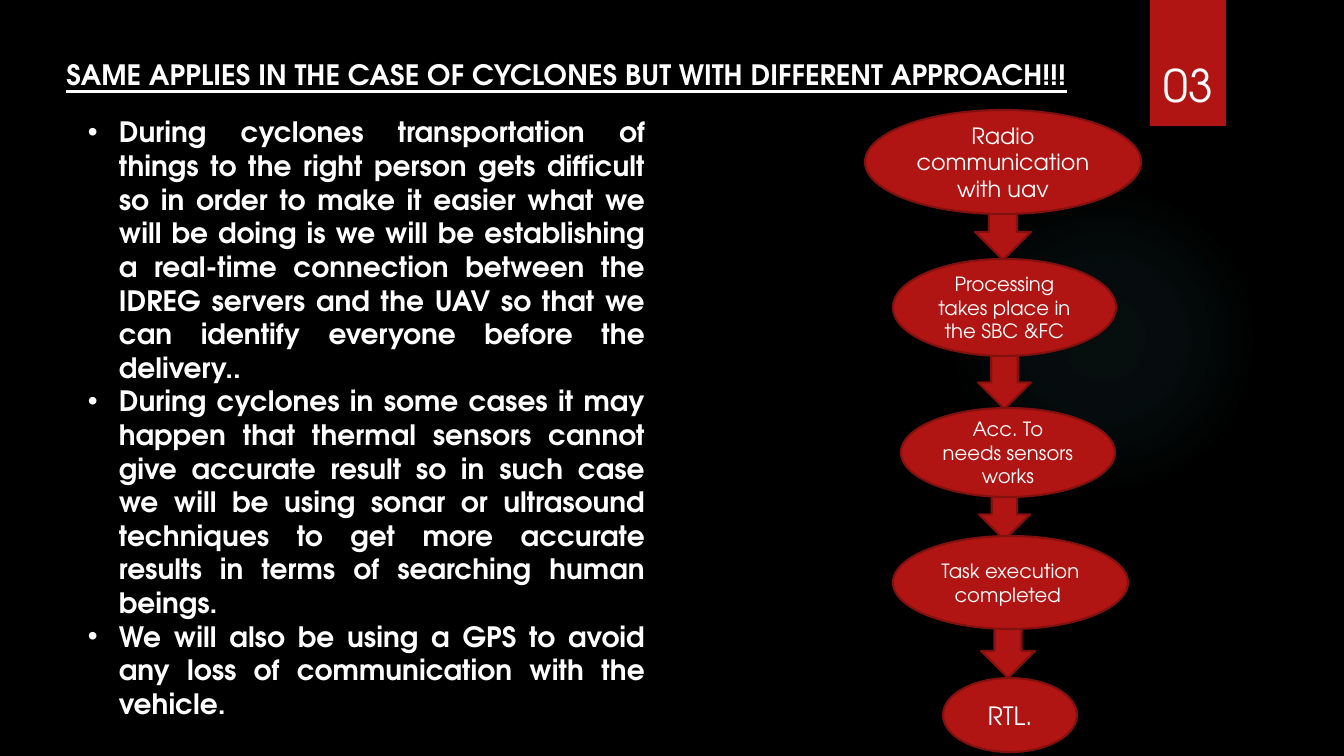
"""Build the slide on UAV delivery during cyclones."""
from lxml import etree
from pptx import Presentation
from pptx import util as u
from pptx.dml.color import RGBColor
from pptx.enum import shapes, text
from pptx.oxml.ns import qn

FONT = "TeX Gyre Adventor"
BLACK, WHITE, RED, DARK_RED, TEAL = "000000", "FFFFFF", "B01513", "82100E", "50B9C1"
SLIDE_SIZE = (1344, 756)
INDENT = 31

TITLE = "SAME APPLIES IN THE CASE OF CYCLONES BUT WITH DIFFERENT APPROACH!!!"
NUMBER = "03"
BULLETS = [
    "During cyclones transportation of things to the right person gets difficult so in order "
    "to make it easier what we will be doing is we will be establishing a real-time connection "
    "between the IDREG servers and the UAV so that we can identify everyone before the delivery..",
    "During cyclones in some cases it may happen that thermal sensors cannot give accurate result "
    "so in such case we will be using sonar or ultrasound techniques to get more accurate results "
    "in terms of searching human beings.",
    "We will also be using a GPS to avoid any loss of communication with the vehicle.",
]
STEPS = [
    ("Radio communication with uav", 16, (865, 110, 276, 104)),
    ("Processing takes place in the SBC &FC", 14, (893, 259, 223, 97)),
    ("Acc. To needs sensors works", 14, (901, 408, 214, 89)),
    ("Task execution completed ", 14, (893, 536, 235, 93)),
    ("RTL.", 18, (943, 678, 134, 74)),
]
ARROWS = [(981, 618, 54, 60), (979, 460, 51, 80), (978, 342, 53, 67), (975, 193, 56, 67)]
GLOW_STOPS = [(0, 7), (36, 6), (69, 0)]


def px(length):
    return u.Emu(round(length * 914400 / 100.8))


def color(value):
    return RGBColor.from_string(value)


def add_shape(slide, kind, box, outlined=True):
    shape = slide.shapes.add_shape(kind, *map(px, box))
    shape.shadow.inherit = False
    shape.fill.solid()
    shape.fill.fore_color.rgb = color(RED)
    if outlined:
        shape.line.color.rgb = color(DARK_RED)
        shape.line.width = u.Pt(1.5)
    else:
        shape.line.fill.background()
    return shape


def add_text_box(slide, box, wrap=False):
    frame = slide.shapes.add_textbox(*map(px, box)).text_frame
    frame.word_wrap = wrap
    frame.auto_size = text.MSO_AUTO_SIZE.SHAPE_TO_FIT_TEXT
    return frame


def write(paragraph, words, size, align, bold=None, underline=None):
    paragraph.text = words
    paragraph.alignment = align
    font = paragraph.font
    font.name, font.size = FONT, u.Pt(size)
    font.bold, font.underline = bold, underline
    font.color.rgb = color(WHITE)


def add_bullet(paragraph):
    properties = paragraph._p.get_or_add_pPr()
    properties.set("marL", str(px(INDENT)))
    properties.set("indent", str(-px(INDENT)))
    bullet_font = etree.Element(qn("a:buFont"), typeface="Arial")
    bullet = etree.Element(qn("a:buChar"), char="•")
    properties.insert(0, bullet_font)
    properties.insert(1, bullet)


def add_glow(slide, box):
    glow = add_shape(slide, shapes.MSO_SHAPE.OVAL, box, outlined=False)
    gradient = etree.Element(qn("a:gradFill"), rotWithShape="1")
    stops = etree.SubElement(gradient, qn("a:gsLst"))
    for position, opacity in GLOW_STOPS:
        stop = etree.SubElement(stops, qn("a:gs"), pos=str(position * 1000))
        tint = etree.SubElement(stop, qn("a:srgbClr"), val=TEAL)
        etree.SubElement(tint, qn("a:alpha"), val=str(opacity * 1000))
    circle = etree.SubElement(gradient, qn("a:path"), path="circle")
    etree.SubElement(circle, qn("a:fillToRect"), l="50000", t="50000", r="50000", b="50000")
    properties = glow._element.spPr
    properties.replace(properties.find(qn("a:solidFill")), gradient)


def main():
    presentation = Presentation()
    presentation.slide_width, presentation.slide_height = map(px, SLIDE_SIZE)
    slide = presentation.slides.add_slide(presentation.slide_layouts[6])
    slide.background.fill.solid()
    slide.background.fill.fore_color.rgb = color(BLACK)

    add_glow(slide, (949, 184, 310, 310))
    add_shape(slide, shapes.MSO_SHAPE.RECTANGLE, (1150, 0, 76, 126), outlined=False)
    for box in ARROWS:
        add_shape(slide, shapes.MSO_SHAPE.DOWN_ARROW, box)

    title = add_text_box(slide, (54, 53, 1025, 44))
    write(title.paragraphs[0], TITLE, 20, text.PP_ALIGN.CENTER, bold=True, underline=True)
    number = add_text_box(slide, (1154, 53, 71, 65))
    write(number.paragraphs[0], NUMBER, 32, text.PP_ALIGN.LEFT)

    body = add_text_box(slide, (78, 110, 577, 621), wrap=True)
    for index, words in enumerate(BULLETS):
        paragraph = body.add_paragraph() if index else body.paragraphs[0]
        write(paragraph, words, 20, text.PP_ALIGN.JUSTIFY, bold=True)
        add_bullet(paragraph)

    for words, size, box in STEPS:
        frame = add_shape(slide, shapes.MSO_SHAPE.OVAL, box).text_frame
        frame.word_wrap = True
        frame.vertical_anchor = text.MSO_ANCHOR.MIDDLE
        write(frame.paragraphs[0], words, size, text.PP_ALIGN.CENTER)

    presentation.save("out.pptx")


if __name__ == "__main__":
    main()
